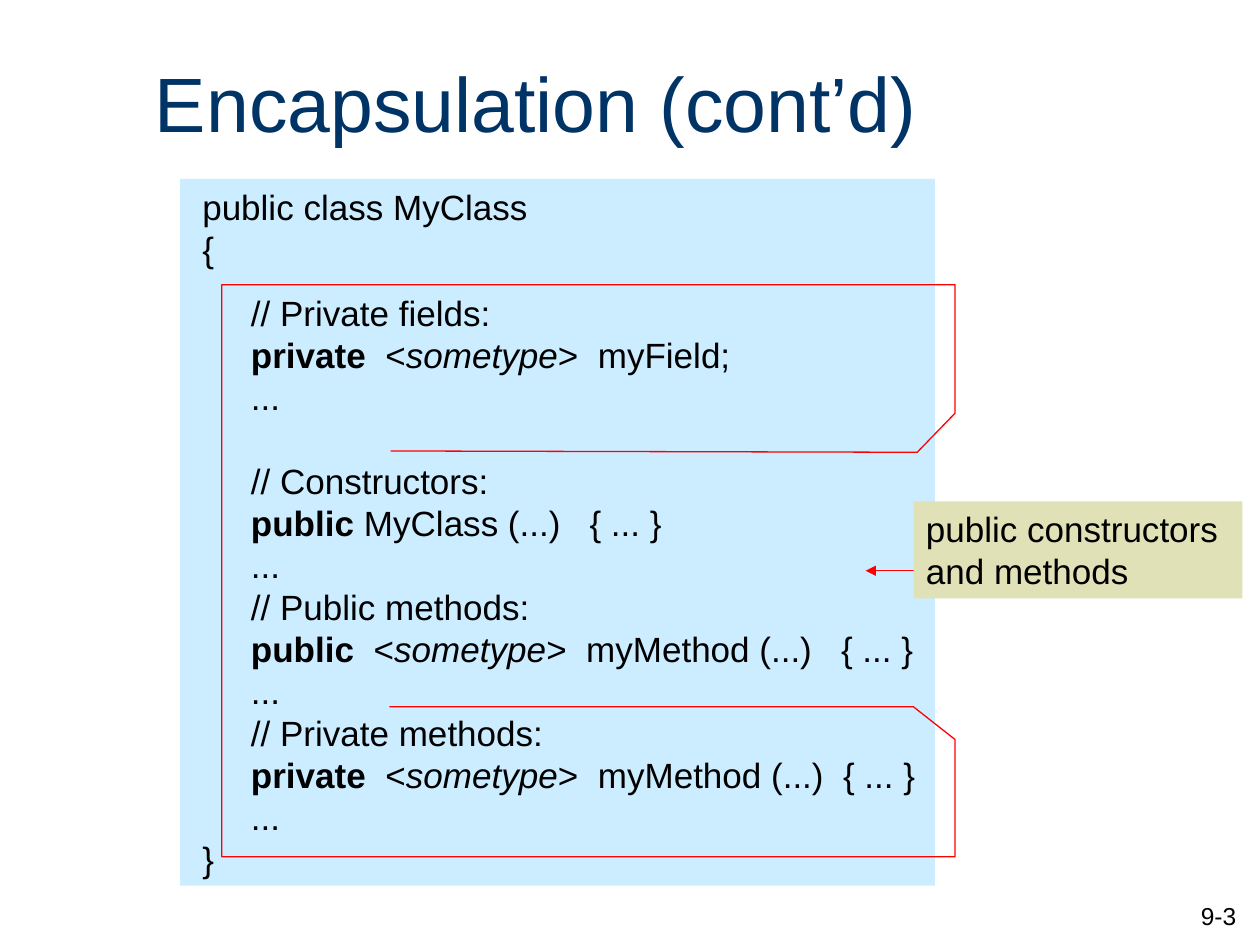
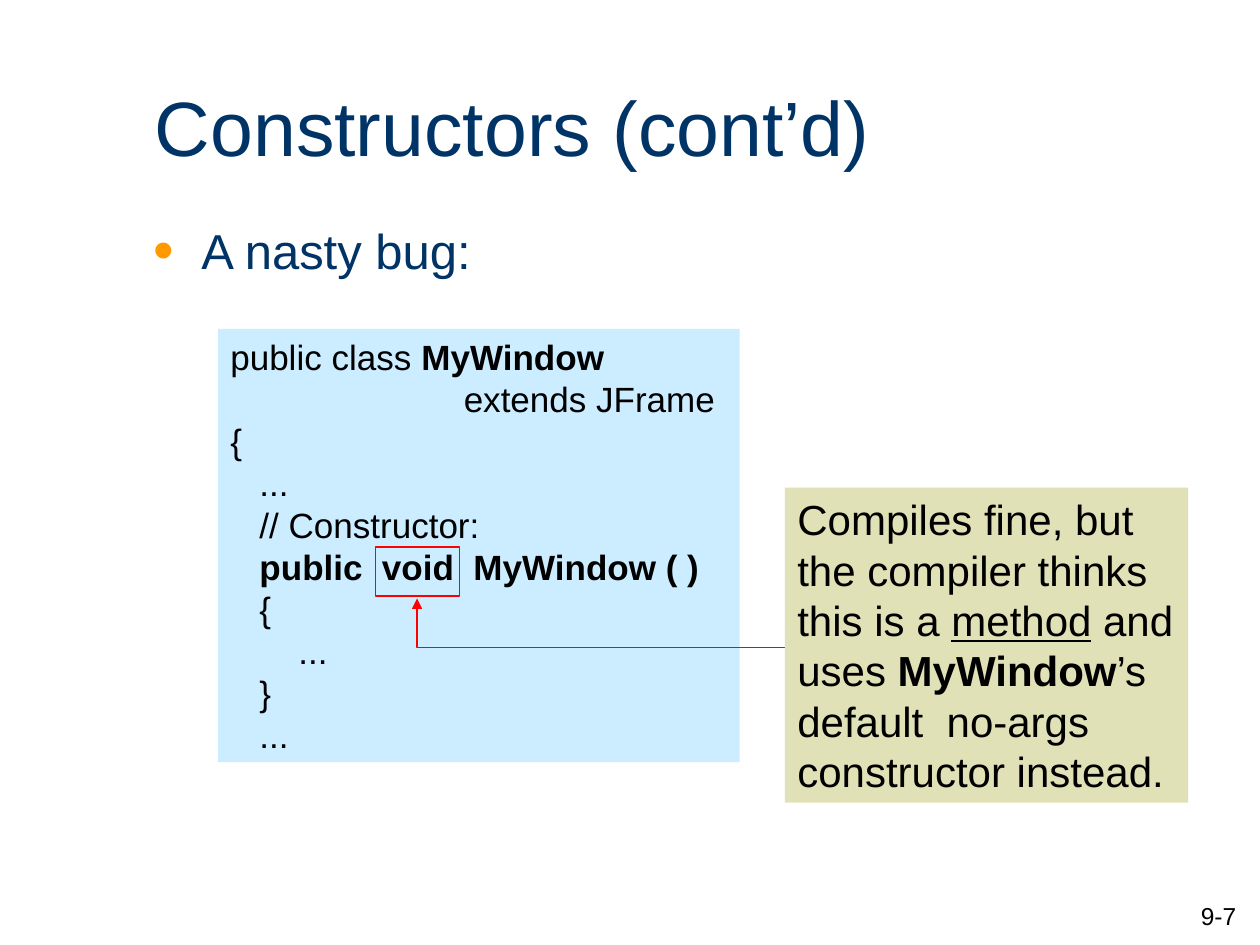
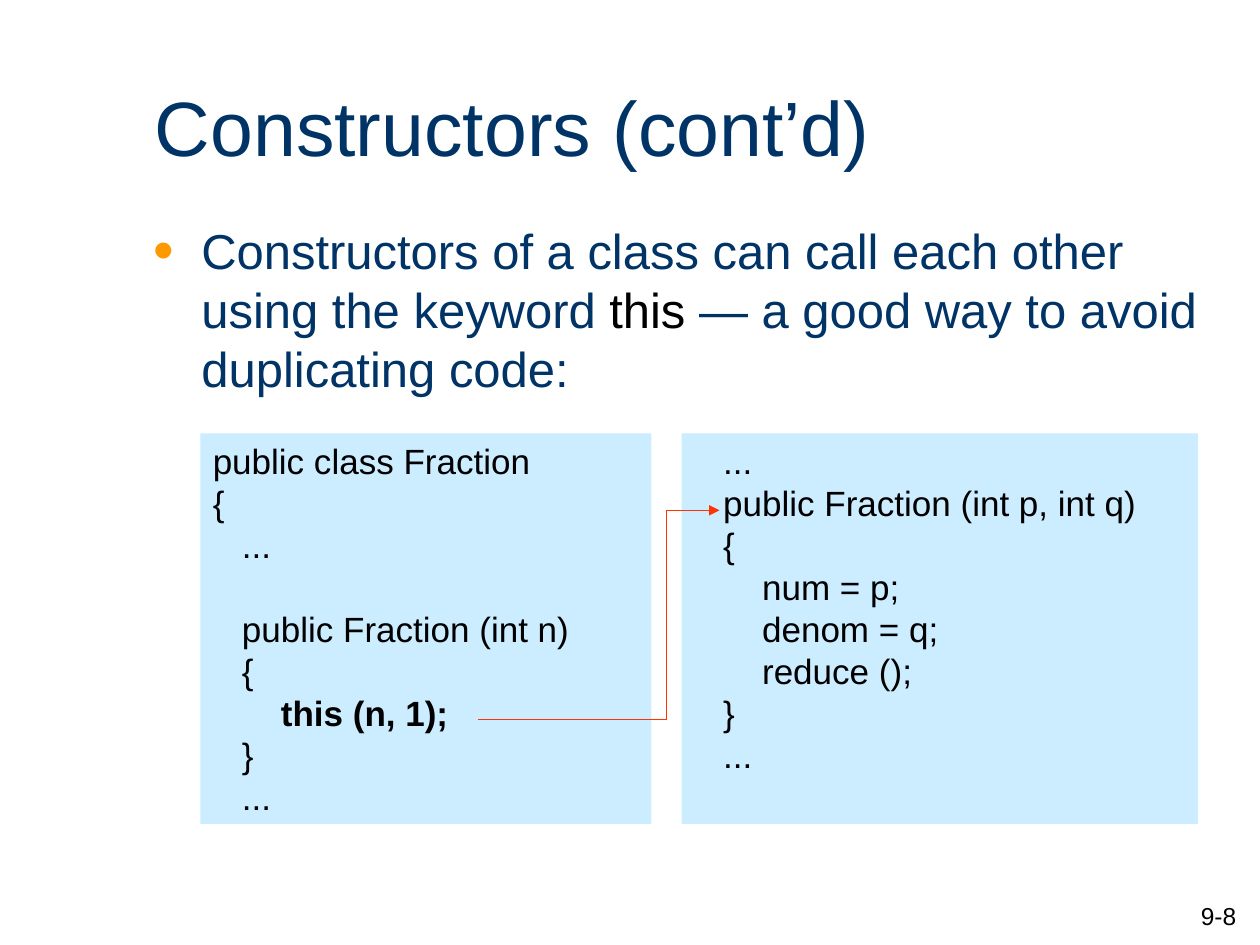
from lxml import etree
from pptx import Presentation
from pptx.dml.color import RGBColor
from pptx.enum import shapes, text
from pptx.oxml.ns import qn
from pptx.util import Inches, Pt

FONT = "Arial"
HUES = {name: RGBColor.from_string(code) for name, code in {
    "navy": "003366", "black": "000000", "code": "CCECFF", "note": "E1E1B7",
    "red": "FF0000", "call": "FF3300"}.items()}
DOT = "FF9900"
SPACE = 0.0772  # width in inches of one blank at 20 pt
GAP = 24        # height in points of one code line


def write(slide, at, lines, size=20, fill=None, hue="black"):
    """Add a text box. A line is (indent in blanks, points before, *runs);
    a run is a string or (string, style): b, i, u, or k for black."""
    box = slide.shapes.add_textbox(*map(Inches, at))
    if fill:
        box.fill.solid()
        box.fill.fore_color.rgb = HUES[fill]
    frame = box.text_frame
    frame.word_wrap = True
    for n, (dent, before, *runs) in enumerate(lines):
        para = frame.add_paragraph() if n else frame.paragraphs[0]
        if dent:
            para._p.get_or_add_pPr().set("marL", str(Inches(dent * SPACE)))
        if before:
            para.space_before = Pt(before)
        font = para.font
        font.name, font.size, font.color.rgb = FONT, Pt(size), HUES[hue]
        for part in runs:
            words, style = (part, "") if isinstance(part, str) else part
            run = para.add_run()
            run.text = words
            if style == "b":
                run.font.bold = True
            elif style == "i":
                run.font.italic = True
            elif style == "u":
                run.font.underline = True
            elif style == "k":
                run.font.color.rgb = HUES["black"]
    return box


def ink(shape, hue="red", arrow=False):
    """Give a shape a thin line without shadow, and an arrowhead if asked."""
    shape.line.color.rgb = HUES[hue]
    shape.line.width = Pt(0.75)
    props = shape.element.spPr
    if arrow:
        etree.SubElement(props.find(qn("a:ln")), qn("a:tailEnd"), type="triangle")
    if props.find(qn("a:effectLst")) is None:
        etree.SubElement(props, qn("a:effectLst"))


deck = Presentation()
deck.slide_width, deck.slide_height = Inches(10), Inches(7.5)

# Titles, page numbers and bullet texts
pages = [
    ("Encapsulation (cont’d)", 0.34, "9-3", None),
    ("Constructors (cont’d)", 0.53, "9-7", ["A nasty bug:"]),
    ("Constructors (cont’d)", 0.53, "9-8", [
        "Constructors of a class can call each other using the keyword ",
        ("this", "k"), " — a good way to avoid duplicating code:"]),
]
for name, top, page, point in pages:
    slide = deck.slides.add_slide(deck.slide_layouts[5])
    title = slide.shapes.title
    title.left, title.top = Inches(1.13), Inches(top)
    title.width, title.height = Inches(8.5), Inches(0.94)
    frame = title.text_frame
    frame.text = name
    frame.auto_size = text.MSO_AUTO_SIZE.NONE
    frame.vertical_anchor = text.MSO_ANCHOR.MIDDLE
    para = frame.paragraphs[0]
    para.alignment = text.PP_ALIGN.LEFT
    para.font.name, para.font.size = FONT, Pt(44)
    para.font.color.rgb = HUES["navy"]

    foot = write(slide, (7.83, 7.1, 2.08, 0.5), [(0, 0, page)], 14)
    foot.text_frame.paragraphs[0].alignment = text.PP_ALIGN.RIGHT

    if point:
        body = write(slide, (1.12, 1.7, 8.5, 5.25), [(0, 0, *point)], 28, hue="navy")
        props = body.text_frame.paragraphs[0]._p.get_or_add_pPr()
        props.set("marL", str(Inches(0.38)))
        props.set("indent", str(Inches(-0.38)))
        color = etree.Element(qn("a:buClr"))
        etree.SubElement(color, qn("a:srgbClr"), val=DOT)
        marks = [color,
                 etree.Element(qn("a:buSzPct"), val="120000"),
                 etree.Element(qn("a:buFont"), typeface=FONT),
                 etree.Element(qn("a:buChar"), char="•")]
        for n, mark in enumerate(marks):
            props.insert(n, mark)

hide, bug, chain = deck.slides

# Encapsulation: class outline with the private parts framed
some = ("sometype", "i")
write(hide, (1.43, 1.42, 5.99, 5.61), [
    (1, 0, "public class MyClass"),
    (1, 0, "{"),
    (6, 12.5, "// Private fields:"),
    (6, 0, ("private", "b"), "  <", some, ">  myField;"),
    (6, 0, "..."),
    (6, GAP, "// Constructors:"),
    (6, 0, ("public", "b"), " MyClass (...)   { ... }"),
    (6, 0, "..."),
    (6, 0, "// Public methods:"),
    (6, 0, ("public", "b"), "  <", some, ">  myMethod (...)   { ... }"),
    (6, 0, "..."),
    (6, 0, "// Private methods:"),
    (6, 0, ("private", "b"), "  <", some, ">  myMethod (...)  { ... }"),
    (6, 0, "..."),
    (1, 0, "}"),
], fill="code")

# Open outlines: slide, corners, arrowhead
routes = [
    (hide, [(3.09, 5.61), (7.25, 5.61), (7.58, 5.87), (7.58, 6.8), (1.76, 6.8),
            (1.76, 2.26), (7.58, 2.26), (7.58, 3.28), (7.28, 3.59), (3.1, 3.58)], False),
    (bug, [(6.32, 5.14), (3.31, 5.14), (3.31, 4.75)], True),
]

# Constructor bug: code with a stray return type
write(bug, (1.73, 2.61, 4.14, 3.44), [
    (0, 0, "public class ", ("MyWindow", "b")),
    (24, 0, "extends JFrame"),
    (0, 0, "{"),
    (3, 0, "..."),
    (3, 0, "// Constructor:"),
    (3, 0, ("public  void  MyWindow ( )", "b")),
    (3, 0, "{"),
    (7, 0, "..."),
    (3, 0, "}"),
    (3, 0, "..."),
], fill="code")
frame = bug.shapes.add_shape(shapes.MSO_SHAPE.RECTANGLE,
                             *map(Inches, (2.98, 4.34, 0.67, 0.39)))
frame.fill.background()
ink(frame)

for slide, spots, arrow in routes:
    start, *rest = [(Inches(x), Inches(y)) for x, y in spots]
    pen = slide.shapes.build_freeform(*start)
    pen.add_line_segments(rest, close=False)
    path = pen.convert_to_shape()
    path.fill.background()
    ink(path, arrow=arrow)

# Constructors calling each other: two code panels
write(chain, (5.41, 3.44, 4.1, 3.1), [
    (3, 0, "..."),
    (3, 0, "public Fraction (int p, int q)"),
    (3, 0, "{"),
    (7, 0, "num = p;"),
    (7, 0, "denom = q;"),
    (7, 0, "reduce ();"),
    (3, 0, "}"),
    (3, 0, "..."),
], fill="code")
write(chain, (1.59, 3.44, 3.58, 3.1), [
    (0, 0, "public class Fraction"),
    (0, 0, "{"),
    (3, 0, "..."),
    (3, GAP, "public Fraction (int n)"),
    (3, 0, "{"),
    (7, 0, ("this (n, 1);", "b")),
    (3, 0, "}"),
    (3, 0, "..."),
], fill="code")

# Straight lines: slide, ends, colour, arrowhead
for slide, ends, hue, arrow in [
    (hide, (7.33, 4.53, 6.87, 4.53), "red", True),
    (chain, (3.79, 5.71, 5.29, 5.71), "call", False),
    (chain, (5.29, 5.71, 5.29, 4.05), "call", False),
    (chain, (5.29, 4.05, 5.71, 4.05), "call", True),
]:
    line = slide.shapes.add_connector(shapes.MSO_CONNECTOR.STRAIGHT, *map(Inches, ends))
    ink(line, hue, arrow)

# Notes lie over the arrows that leave them
write(hide, (7.25, 3.98, 2.61, 0.77),
      [(0, 0, "public constructors and methods")], fill="note")
write(bug, (6.23, 3.87, 3.2, 2.5), [
    (0, 0, "Compiles fine, but the compiler thinks this is a ", ("method", "u"),
     " and uses ", ("MyWindow", "b"), "’s default  no-args constructor instead."),
], 24, "note")

deck.save("out.pptx")
